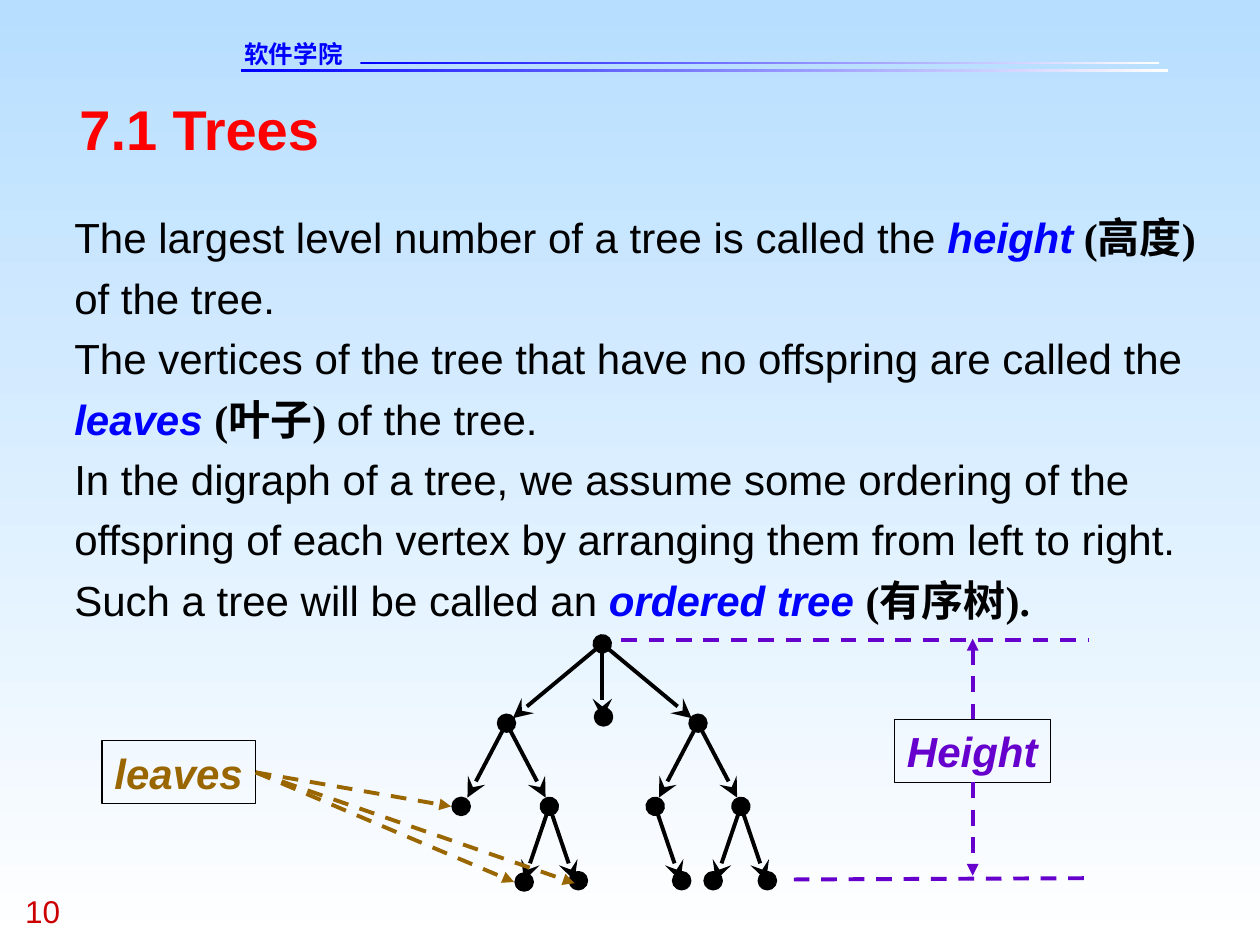
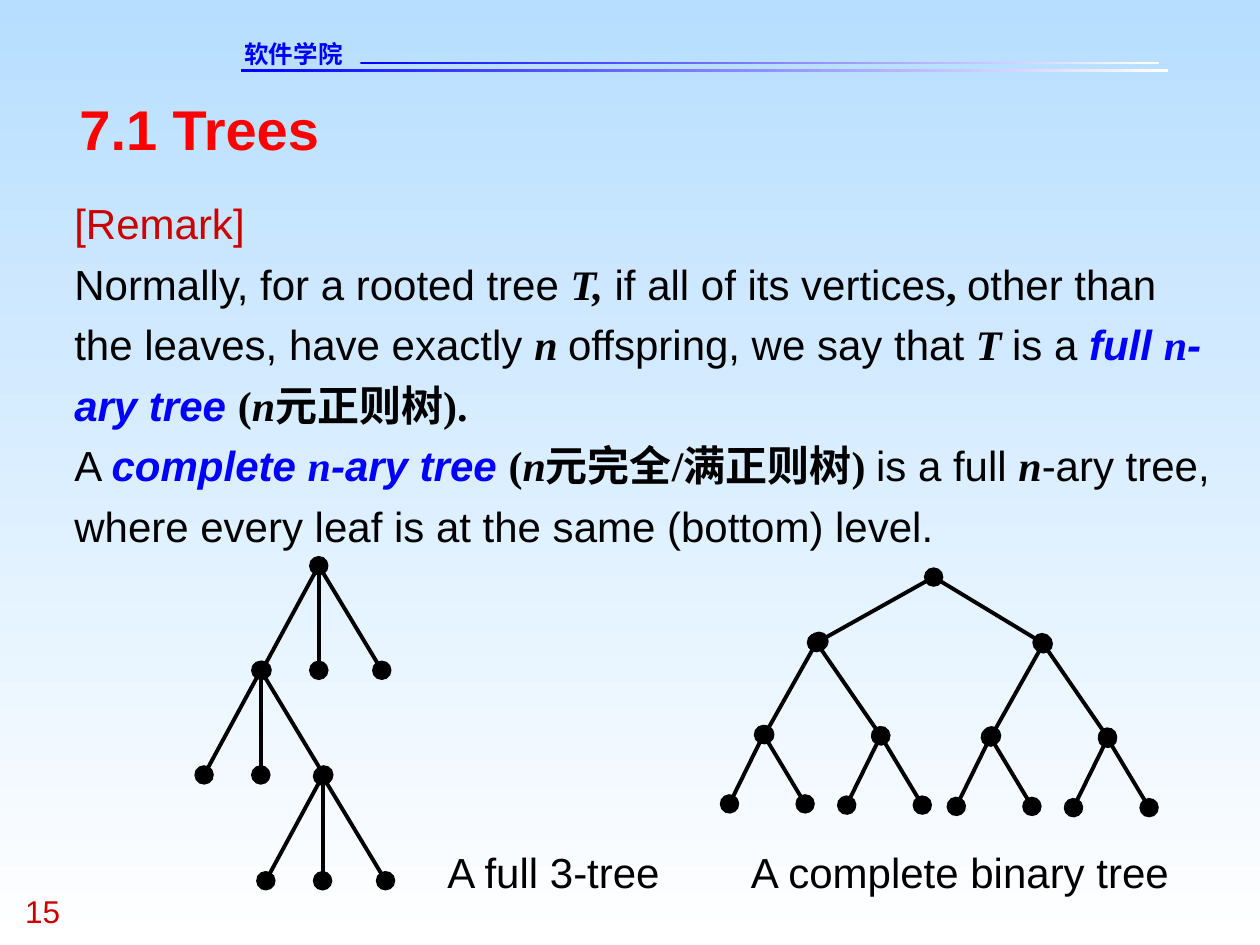
from dataclasses import dataclass

from lxml import etree
from pptx import Presentation
from pptx.dml.color import RGBColor
from pptx.enum.dml import MSO_LINE
from pptx.enum.shapes import MSO_CONNECTOR, MSO_SHAPE
from pptx.oxml.ns import qn
from pptx.util import Emu, Pt

PX = 9144  # 100 px to the inch
STRAIGHT = MSO_CONNECTOR.STRAIGHT
RECTANGLE = MSO_SHAPE.RECTANGLE
OVAL = MSO_SHAPE.OVAL
DASH = MSO_LINE.DASH
TOP, LEFT, BOTTOM, RIGHT = range(4)

COLORS = {
    "sky": "B7DEFF", "white": "FFFFFF", "black": "000000", "blue": "0000FF",
    "red": "FF0000", "dark_red": "CC0000", "purple": "6600CC", "brown": "996600",
}
SANS, SERIF, CHINESE = "Arial", "Times New Roman", "DejaVu Sans"
Point = tuple[int, int]


@dataclass(frozen=True)
class Style:
    font: str = SANS
    color: str = "black"
    bold: bool = False
    italic: bool = False
    size: int = 24


@dataclass(frozen=True)
class Box:
    left: int
    top: int
    width: int
    height: int

    def emu(self) -> list[Emu]:
        return [Emu(v * PX) for v in (self.left, self.top, self.width, self.height)]


@dataclass(frozen=True)
class Family:
    """Parents that share the same offsets to their children."""
    parents: list[Point]
    offsets: list[Point]


@dataclass(frozen=True)
class Line:
    start: Point
    end: Point
    color: str
    dashed: bool = True
    head: str = ""
    tail: str = ""
    tip_size: str = "med"


PLAIN = Style()
TERM = Style(color="blue", bold=True, italic=True)
TERM_SYMBOL = Style(SERIF, "blue", True, True)
SYMBOL = Style(SERIF, bold=True, italic=True)
GLOSS = Style(SERIF, bold=True)
REMARK = Style(color="dark_red")
TITLE = Style(color="red", bold=True, size=32)
SCHOOL = Style(CHINESE, "blue", True, size=14)
PAGE = Style(color="dark_red", size=18)

Runs = list[tuple[str, Style]]

HEIGHT_TEXT: list[Runs] = [
    [("The largest level number of a tree is called the", PLAIN), (" height", TERM),
     (" (高度) ", GLOSS), ("of the tree.", PLAIN)],
    [("The vertices of the tree that have no offspring are called the", PLAIN),
     (" leaves ", TERM), ("(叶子) ", GLOSS), ("of the tree.", PLAIN)],
    [("In the digraph of a tree, we assume some ordering of the offspring of each "
      "vertex by arranging them from left to right. Such a tree will be called an ", PLAIN),
     ("ordered tree ", TERM), ("(有序树).", GLOSS)],
]
REMARK_TEXT: list[Runs] = [
    [("[Remark]", REMARK)],
    [("Normally, for a rooted tree ", PLAIN), ("T,", SYMBOL),
     (" if all of its vertices", PLAIN), (", ", GLOSS),
     ("other than the leaves, have exactly ", PLAIN), ("n ", SYMBOL),
     ("offspring, we say that ", PLAIN), ("T ", SYMBOL), ("is a ", PLAIN),
     ("full ", TERM), ("n", TERM_SYMBOL), ("-ary tree ", TERM),
     ("(", GLOSS), ("n", SYMBOL), ("元正则树).", GLOSS)],
    [("A ", PLAIN), ("complete ", TERM), ("n", TERM_SYMBOL), ("-ary tree ", TERM),
     ("(", GLOSS), ("n", SYMBOL), ("元完全/满正则树) ", GLOSS), ("is a full ", PLAIN),
     ("n", SYMBOL),
     ("-ary tree, where every leaf is at the same (bottom) level.", PLAIN)],
]

ORDERED_TREE = [
    Family([(478, 511)], [(-71, 59), (0, 59), (71, 59)]),
    Family([(402, 574), (554, 574)], [(-31, 59), (31, 59)]),
    Family([(436, 640), (588, 640)], [(-20, 59), (20, 59)]),
    Family([(520, 640)], [(20, 59)]),
]
ORDERED_LEAVES = [(479, 569), (366, 640), (416, 700), (459, 699),
                  (541, 699), (566, 699), (609, 699)]
FULL_TREE = [Family([(253, 449), (207, 532), (256, 616)], [(-45, 83), (0, 83), (50, 83)])]
BINARY_TREE = [
    Family([(741, 458)], [(-91, 51), (86, 52)]),
    Family([(648, 510), (828, 511)], [(-41, 73), (51, 74)]),
    Family([(606, 583), (699, 584), (786, 585), (879, 586)], [(-27, 55), (33, 55)]),
]


def rgb(name: str) -> RGBColor:
    return RGBColor.from_string(COLORS[name])


def set_gradient(fill, first: str, last: str, angle: int) -> None:
    fill.gradient()
    fill.gradient_angle = angle
    for stop, name in zip(fill.gradient_stops, (first, last)):
        stop.color.rgb = rgb(name)


def add_runs(paragraph, runs: Runs) -> None:
    for text, style in runs:
        run = paragraph.add_run()
        run.text = text
        font = run.font
        font.name, font.size = style.font, Pt(style.size)
        font.bold, font.italic = style.bold, style.italic
        font.color.rgb = rgb(style.color)


def add_text(slide, box: Box, paragraphs: list[Runs], spacing: float = 1.0) -> None:
    frame = slide.shapes.add_textbox(*box.emu()).text_frame
    frame.word_wrap = True
    frame.margin_left = frame.margin_right = frame.margin_top = frame.margin_bottom = 0
    for index, runs in enumerate(paragraphs):
        paragraph = frame.add_paragraph() if index else frame.paragraphs[0]
        paragraph.line_spacing = spacing
        add_runs(paragraph, runs)


def add_label(slide, box: Box, text: str, color: str):
    """Draw a thinly outlined box with a bold italic word and return it."""
    shape = slide.shapes.add_textbox(*box.emu())
    shape.line.color.rgb = rgb("black")
    shape.line.width = Pt(0.75)
    shape.text_frame.word_wrap = False
    add_runs(shape.text_frame.paragraphs[0], [(text, Style(color=color, bold=True, italic=True))])
    return shape


def add_line(slide, line: Line):
    ends = [Emu(v * PX) for v in (*line.start, *line.end)]
    connector = slide.shapes.add_connector(STRAIGHT, *ends)
    connector.line.color.rgb = rgb(line.color)
    connector.line.width = Pt(2.25)
    if line.dashed:
        connector.line.dash_style = DASH
    properties = connector._element.spPr
    outline = properties.find(qn("a:ln"))
    for tag, kind in (("a:headEnd", line.head), ("a:tailEnd", line.tail)):
        if kind:
            etree.SubElement(outline, qn(tag), type=kind, w=line.tip_size, len=line.tip_size)
    etree.SubElement(properties, qn("a:effectLst"))
    return connector


def add_tree(slide, families: list[Family], tail: str) -> None:
    """Draw all edges; the first edge of each parent carries the parent's dot."""
    for family in families:
        for x, y in family.parents:
            for index, (dx, dy) in enumerate(family.offsets):
                head = "" if index else "oval"
                add_line(slide, Line((x, y), (x + dx, y + dy), "black", False, head, tail, "lg"))


def add_leaf(slide, center: Point) -> None:
    x, y = center
    leaf = slide.shapes.add_shape(OVAL, *Box(x - 6, y - 6, 12, 12).emu())
    leaf.shadow.inherit = False
    leaf.fill.solid()
    leaf.fill.fore_color.rgb = leaf.line.color.rgb = rgb("black")
    leaf.line.width = Pt(2.5)


def add_lesson_slide(presentation, number: int):
    """Add a slide with the shared background, header bars, title and page number."""
    slide = presentation.slides.add_slide(presentation.slide_layouts[6])
    set_gradient(slide.background.fill, "sky", "white", 270)
    for bar_box in (Box(191, 55, 736, 2), Box(286, 49, 634, 2)):
        bar = slide.shapes.add_shape(RECTANGLE, *bar_box.emu())
        bar.shadow.inherit = False
        set_gradient(bar.fill, "blue", "white", 0)
        bar.line.fill.background()
    add_text(slide, Box(194, 31, 145, 23), [[("软件学院", SCHOOL)]])
    add_text(slide, Box(20, 708, 75, 30), [[(str(number), PAGE)]])
    add_text(slide, Box(63, 75, 875, 53), [[("7.1 Trees", TITLE)]])
    return slide


def build_height_slide(presentation) -> None:
    slide = add_lesson_slide(presentation, 10)
    add_text(slide, Box(59, 160, 914, 336), HEIGHT_TEXT, 1.2)
    add_tree(slide, ORDERED_TREE, "stealth")
    for center in ORDERED_LEAVES:
        add_leaf(slide, center)

    height_label = add_label(slide, Box(710, 571, 124, 50), "Height", "purple")
    leaves_label = add_label(slide, Box(81, 588, 122, 50), "leaves", "brown")
    for tip in ((358, 640), (408, 700), (456, 701)):
        pointer = add_line(slide, Line((203, 613), tip, "brown", tail="triangle"))
        pointer.begin_connect(leaves_label, RIGHT)
    for start, end in (((493, 508), (864, 508)), ((630, 698), (864, 697))):
        add_line(slide, Line(start, end, "purple"))
    for side, start_y, end_y in ((TOP, 571, 507), (BOTTOM, 621, 695)):
        arrow = add_line(slide, Line((772, start_y), (772, end_y), "purple", tail="triangle"))
        arrow.begin_connect(height_label, side)


def build_full_tree_slide(presentation) -> None:
    slide = add_lesson_slide(presentation, 15)
    add_text(slide, Box(59, 149, 904, 288), REMARK_TEXT, 1.2)
    for tree in (FULL_TREE, BINARY_TREE):
        add_tree(slide, tree, "oval")
    add_text(slide, Box(355, 672, 180, 40), [[("A full 3-tree", PLAIN)]])
    add_text(slide, Box(596, 672, 345, 40), [[("A complete binary tree", PLAIN)]])


def main() -> None:
    presentation = Presentation()
    presentation.slide_width, presentation.slide_height = Emu(1000 * PX), Emu(750 * PX)
    build_height_slide(presentation)
    build_full_tree_slide(presentation)
    presentation.save("out.pptx")


if __name__ == "__main__":
    main()
